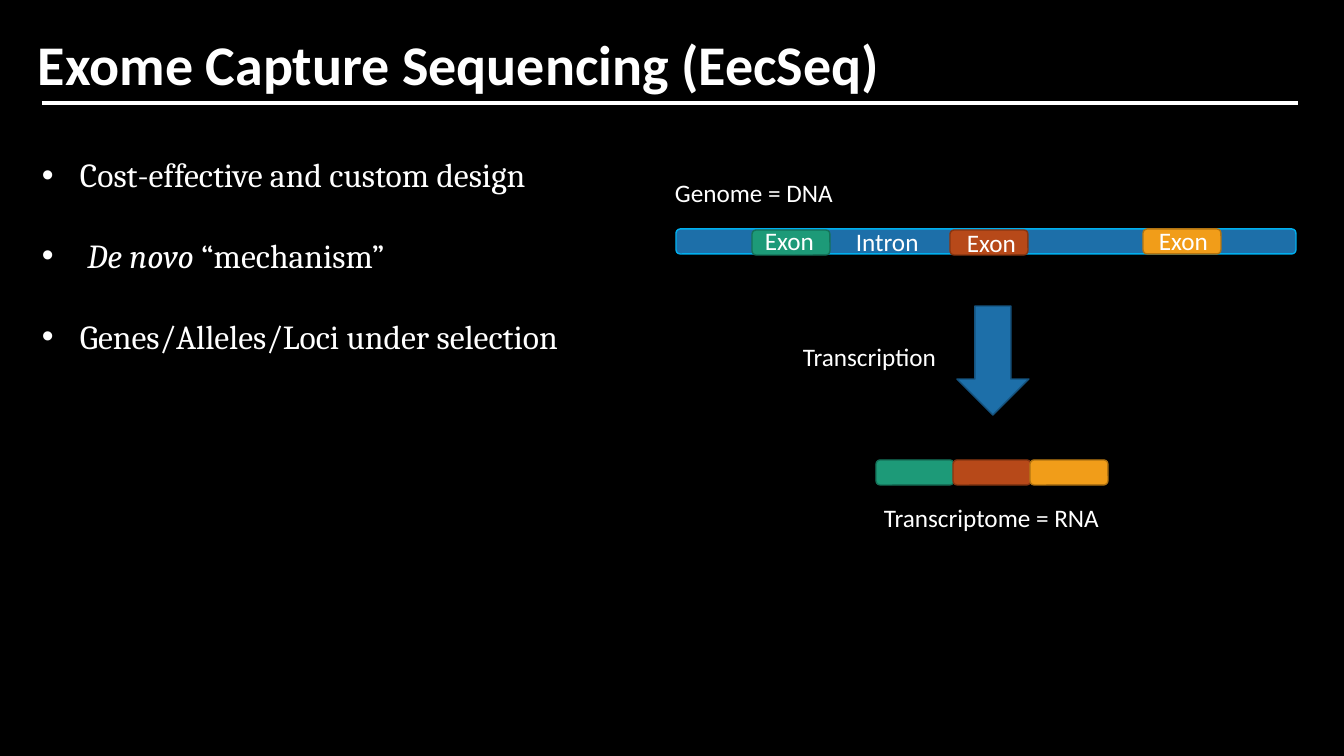
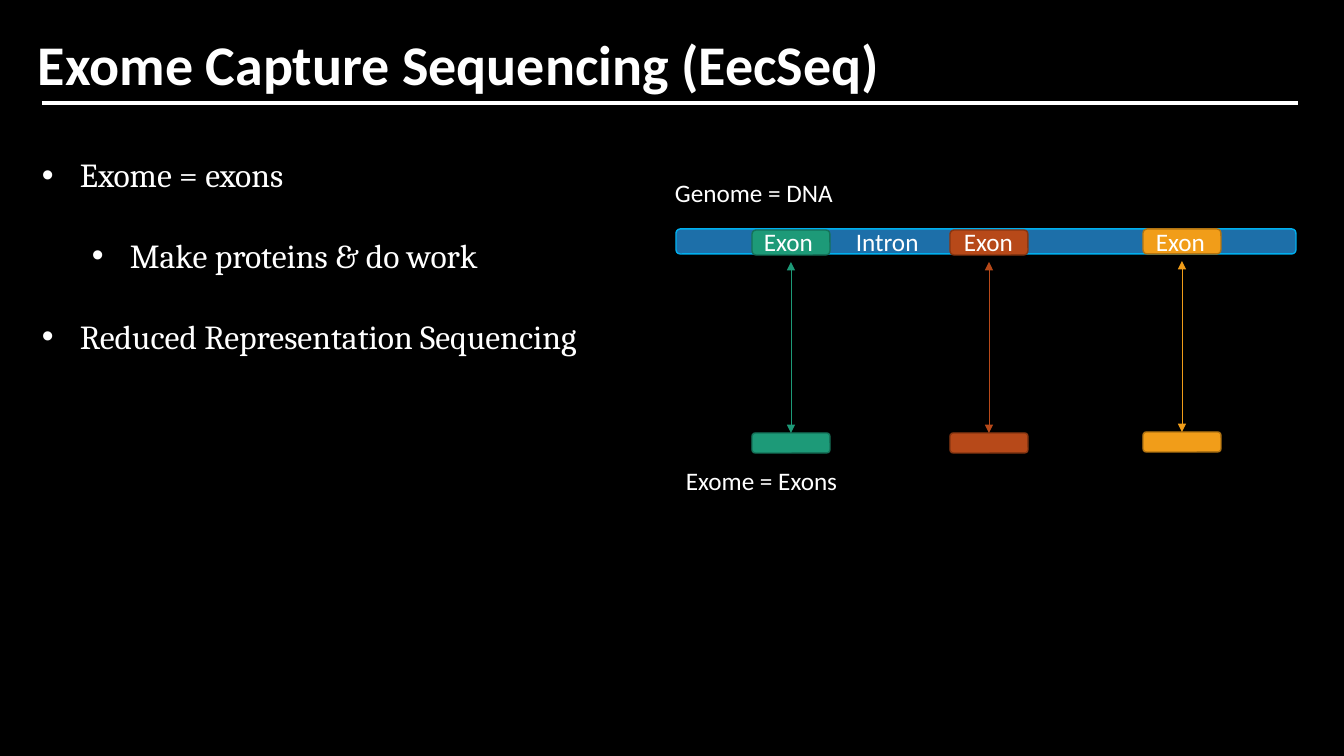
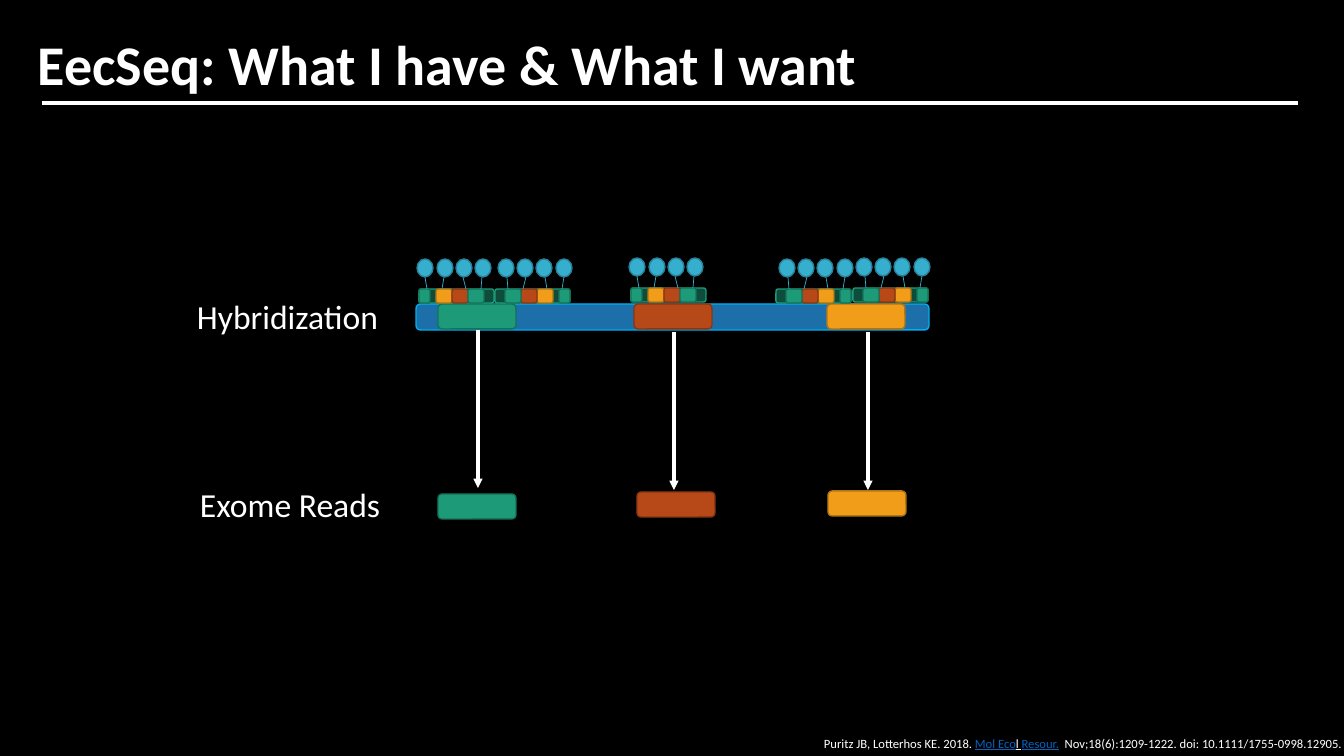
from dataclasses import dataclass

from lxml import etree
from pptx import Presentation
from pptx.dml.color import RGBColor
from pptx.enum.shapes import MSO_CONNECTOR, MSO_SHAPE
from pptx.oxml.ns import qn
from pptx.util import Pt

STRAIGHT = MSO_CONNECTOR.STRAIGHT
ROUNDED = MSO_SHAPE.ROUNDED_RECTANGLE
OVAL = MSO_SHAPE.OVAL
DOWN_ARROW = MSO_SHAPE.DOWN_ARROW


@dataclass(frozen=True)
class Theme:
    scale: float = 914400 / 100.8
    background: str = "000000"
    text: str = "FFFFFF"
    link: str = "0563C1"
    sans: str = "Calibri"
    serif: str = "Cambria"
    title_size: int = 40
    body_size: int = 24
    label_size: int = 18
    citation_size: int = 9


THEME = Theme()

PAINTS = {
    "genome": ("1D6FA9", "00B0F0"),
    "arrow": ("1D6FA9", "15527D"),
    "green": ("1D9A78", "157259"),
    "red": ("B74919", "873612"),
    "orange": ("F19D19", "B27412"),
    "probe": ("0E4D3C", "1D9A78"),
    "bead": ("36AFCE", "288198"),
}

EXON_WIDTH, EXON_HEIGHT = 78, 25
PROBE_WIDTH, PROBE_HEIGHT = 75, 14
BEAD_WIDTH, BEAD_HEIGHT = 16, 18

CAPTURE_TITLE = "Exome Capture Sequencing (EecSeq)"
PROBE_TITLE = "EecSeq: What I have & What I want"

DESIGN_POINTS = [
    (0, [("Cost-effective and custom design", False)]),
    (0, [(" De novo", True), (" “mechanism”", False)]),
    (0, [("Genes/Alleles/Loci under selection", False)]),
]
EXOME_POINTS = [
    (0, [("Exome = exons", False)]),
    (1, [("Make proteins & do work", False)]),
    (0, [("Reduced Representation Sequencing", False)]),
]

GENOME_EXONS = [("green", 752, 230), ("red", 950, 230), ("orange", 1143, 229)]
TRANSCRIPT_EXONS = ["green", "red", "orange"]
DESIGN_EXON_LABELS = [(755, 220), (957, 222), (1149, 220)]
EXOME_EXON_LABELS = [(754, 221), (954, 221), (1146, 221)]

HYBRID_EXONS = [("green", 438), ("red", 634), ("orange", 827)]
EXOME_READS = [("green", 438, 494), ("red", 637, 492), ("orange", 828, 491)]
READ_ARROWS = [(478, 330), (674, 332), (868, 332)]

PROBES = [
    (776, 289, True),
    (631, 288, False),
    (419, 289, False),
    (495, 289, True),
    (853, 288, True),
]
PROBE_PARTS = [("green", 0, 11), ("orange", 17, 16), ("red", 33, 16), ("green", 49, 16)]
PROBE_STEMS = [(8, 6), (23, 25), (47, 44), (62, 63)]

CITATION = [
    ("Puritz JB, Lotterhos KE. 2018. ", THEME.text, False),
    ("Mol Eco", THEME.link, True),
    ("l ", THEME.text, True),
    ("Resour.", THEME.link, True),
    ("  Nov;18(6):1209-1222. doi: 10.1111/1755-0998.12905.", THEME.text, False),
]


def px(length):
    return round(length * THEME.scale)


def rgb(colour):
    return RGBColor.from_string(colour)


def style(para, size, face=THEME.sans, bold=False):
    font = para.font
    font.name, font.size, font.bold = face, Pt(size), bold
    font.color.rgb = rgb(THEME.text)


def add_frame(page, left, top, width, height):
    box = page.shapes.add_textbox(px(left), px(top), px(width), px(height))
    box.text_frame.word_wrap = True
    return box.text_frame


def add_label(page, text, left, top, width, size=THEME.label_size):
    para = add_frame(page, left, top, width, 40).paragraphs[0]
    para.text = text
    style(para, size)


def add_block(shapes, paint, left, top, width, height, preset=ROUNDED):
    block = shapes.add_shape(preset, px(left), px(top), px(width), px(height))
    block.shadow.inherit = False
    fill, outline = PAINTS[paint]
    block.fill.solid()
    block.fill.fore_color.rgb = rgb(fill)
    block.line.color.rgb = rgb(outline)
    block.line.width = Pt(1)


def add_line(shapes, start, end, colour, width, ends=()):
    line = shapes.add_connector(STRAIGHT, *map(px, start + end))
    line.line.color.rgb = rgb(colour)
    line.line.width = Pt(width)
    outline = line.line._get_or_add_ln()
    for end_name in ends:
        etree.SubElement(outline, qn(f"a:{end_name}"), type="triangle")
    etree.SubElement(line._element.spPr, qn("a:effectLst"))


def add_page(deck, title):
    page = deck.slides.add_slide(deck.slide_layouts[6])
    page.background.fill.solid()
    page.background.fill.fore_color.rgb = rgb(THEME.background)
    para = add_frame(page, 28, 32, 1288, 70).paragraphs[0]
    para.text = title
    para.line_spacing = 0.9
    style(para, THEME.title_size, bold=True)
    add_line(page.shapes, (42, 103), (1298, 103), THEME.text, 3)
    return page


def add_points(page, points):
    frame = add_frame(page, 32, 109, 587, 242)
    for index, (level, spans) in enumerate(points):
        para = frame.add_paragraph() if index else frame.paragraphs[0]
        para.level = level
        para.line_spacing = 2.0
        properties = para._p.get_or_add_pPr()
        properties.set("marL", str(px(38 + 50 * level)))
        properties.set("indent", str(px(-38)))
        etree.SubElement(properties, qn("a:buFont"), typeface="Arial")
        etree.SubElement(properties, qn("a:buChar"), char="•")
        style(para, THEME.body_size, THEME.serif)
        for text, italic in spans:
            span = para.add_run()
            span.text = text
            if italic:
                span.font.italic = True


def add_genome(page, label_places):
    add_block(page.shapes, "genome", 676, 229, 620, EXON_HEIGHT)
    add_label(page, "Genome = DNA", 665, 172, 192)
    for (paint, left, top), label_place in zip(GENOME_EXONS, label_places):
        add_block(page.shapes, paint, left, top, EXON_WIDTH, EXON_HEIGHT)
        add_label(page, "Exon", *label_place, 72)
    add_label(page, "Intron", 846, 221, 90)


def add_probe(page, left, top, mirrored):
    shapes = page.shapes.add_group_shape().shapes

    def place(offset, width=0):
        return left + (PROBE_WIDTH - offset - width if mirrored else offset)

    add_block(shapes, "probe", left, top, PROBE_WIDTH, PROBE_HEIGHT)
    for paint, offset, width in PROBE_PARTS:
        add_block(shapes, paint, place(offset, width), top, width, PROBE_HEIGHT)
    for index, (foot, head) in enumerate(PROBE_STEMS):
        bead_left = place(round(19.5 * index) - 2, BEAD_WIDTH)
        add_block(shapes, "bead", bead_left, top - 30, BEAD_WIDTH, BEAD_HEIGHT, OVAL)
        add_line(shapes, (place(foot), top), (place(head), top - 12), PAINTS["bead"][0], 0.5)


def add_citation(page):
    frame = add_frame(page, 764, 731, 580, 25)
    frame.margin_right = 0
    para = frame.paragraphs[0]
    para._p.get_or_add_pPr().set("marL", str(px(50)))
    style(para, THEME.citation_size)
    for text, colour, underlined in CITATION:
        span = para.add_run()
        span.text = text
        span.font.color.rgb = rgb(colour)
        span.font.underline = underlined


def build_design(deck):
    page = add_page(deck, CAPTURE_TITLE)
    add_points(page, DESIGN_POINTS)
    add_genome(page, DESIGN_EXON_LABELS)
    for index, paint in enumerate(TRANSCRIPT_EXONS):
        add_block(page.shapes, paint, 876 + 77 * index, 460, EXON_WIDTH, EXON_HEIGHT)
    add_label(page, "Transcriptome = RNA", 874, 497, 252)
    add_block(page.shapes, "arrow", 957, 306, 72, 109, DOWN_ARROW)
    add_label(page, "Transcription", 793, 336, 230)


def build_exome(deck):
    page = add_page(deck, CAPTURE_TITLE)
    add_points(page, EXOME_POINTS)
    add_genome(page, EXOME_EXON_LABELS)
    add_label(page, "Exome = Exons", 676, 460, 180)
    for paint, left, top in GENOME_EXONS:
        add_block(page.shapes, paint, left, top + 203, EXON_WIDTH, 20)
        centre = left + EXON_WIDTH // 2
        add_line(page.shapes, (centre, top + 203), (centre, top + 32),
                 PAINTS[paint][0], 0.5, ("headEnd", "tailEnd"))


def build_hybridization(deck):
    page = add_page(deck, PROBE_TITLE)
    add_block(page.shapes, "genome", 416, 304, 513, 26)
    for paint, left in HYBRID_EXONS:
        add_block(page.shapes, paint, left, 304, EXON_WIDTH, EXON_HEIGHT)
    for centre, top in READ_ARROWS:
        add_line(page.shapes, (centre, top), (centre, top + 158), THEME.text, 2.25, ("tailEnd",))
    for paint, left, top in EXOME_READS:
        add_block(page.shapes, paint, left, top, EXON_WIDTH, EXON_HEIGHT)
    add_label(page, "Hybridization", 187, 291, 223, THEME.body_size)
    add_label(page, "Exome Reads", 190, 479, 223, THEME.body_size)
    for probe in PROBES:
        add_probe(page, *probe)
    add_citation(page)


def main():
    deck = Presentation()
    deck.slide_width, deck.slide_height = px(1344), px(756)
    build_design(deck)
    build_exome(deck)
    build_hybridization(deck)
    deck.save("out.pptx")


if __name__ == "__main__":
    main()
